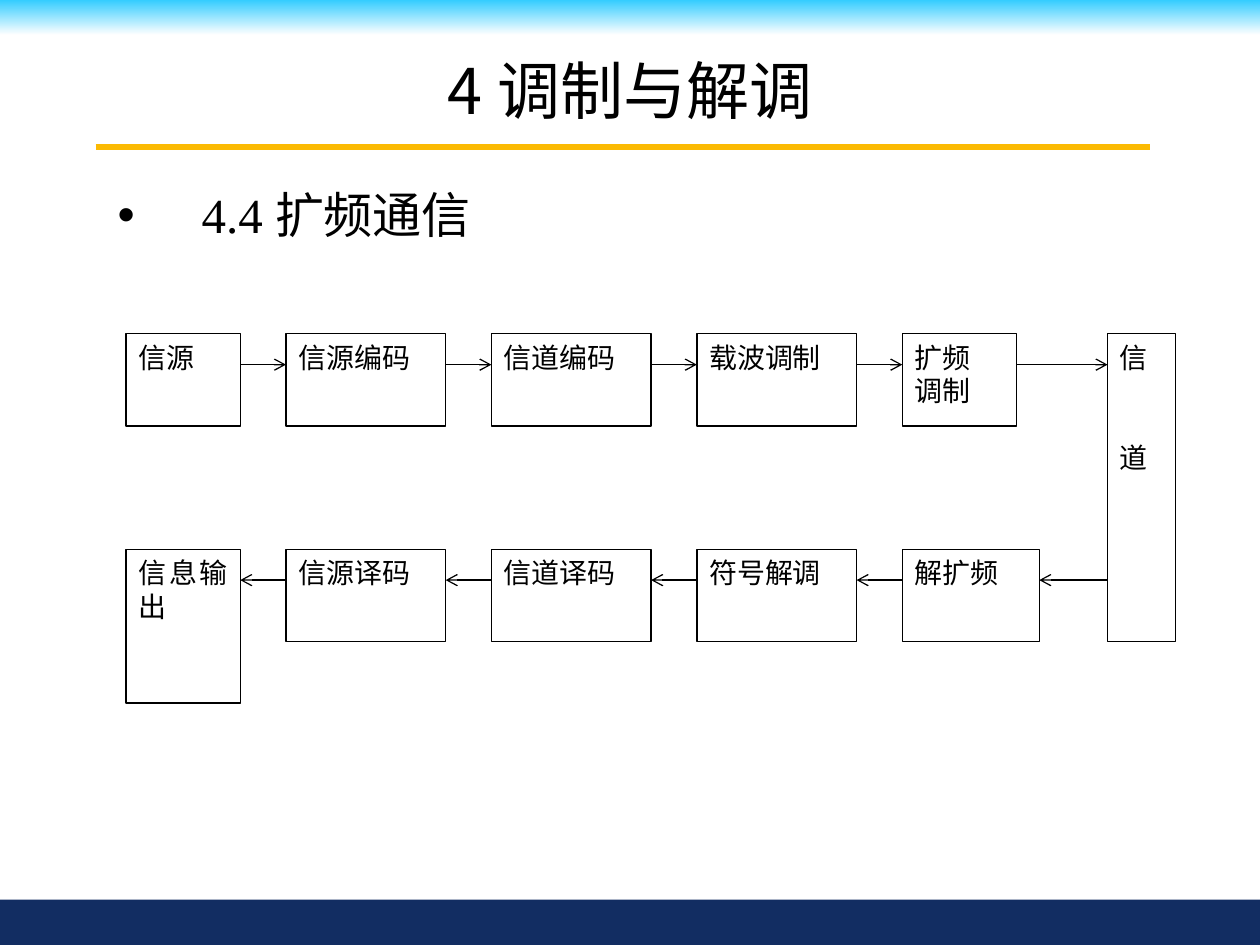
from dataclasses import dataclass

from lxml import etree
from pptx import Presentation
from pptx.dml.color import RGBColor
from pptx.enum.shapes import MSO_CONNECTOR, MSO_SHAPE
from pptx.enum.text import MSO_ANCHOR, MSO_AUTO_SIZE, PP_ALIGN
from pptx.oxml.ns import qn
from pptx.util import Pt

RECTANGLE = MSO_SHAPE.RECTANGLE
STRAIGHT = MSO_CONNECTOR.STRAIGHT
TOP, MIDDLE = MSO_ANCHOR.TOP, MSO_ANCHOR.MIDDLE
CENTER, JUSTIFY, LEFT = PP_ALIGN.CENTER, PP_ALIGN.JUSTIFY, PP_ALIGN.LEFT
NO_AUTOFIT = MSO_AUTO_SIZE.NONE


@dataclass(frozen=True)
class Theme:
    """Colours, fonts and type sizes of the deck."""
    ink: RGBColor = RGBColor(0, 0, 0)
    paper: RGBColor = RGBColor(255, 255, 255)
    sky: RGBColor = RGBColor(0x33, 0xCC, 0xFF)
    navy: RGBColor = RGBColor(0x12, 0x2D, 0x62)
    gold: RGBColor = RGBColor(0xFB, 0xBA, 0x03)
    title_font: str = "Noto Sans CJK SC"
    body_font: str = "Times New Roman"
    title_size: int = 36
    body_size: int = 28
    label_size: int = 16


THEME = Theme()
MARGIN, GAP = 72, 26.1
NARROW, MEDIUM, WIDE = 65.3, 78.3, 91.3
BOX_HEIGHT, TALL_HEIGHT = 52.6, 87.8
SEND_TOP, RECEIVE_TOP = 190.8, 313.9
ARROW_DROP = 17.6
CHANNEL_LEFT, CHANNEL_WIDTH = 632.9, 38.9
CHANNEL_GAP = 38
SENDER = [
    (["信源"], NARROW, BOX_HEIGHT),
    (["信源编码"], WIDE, BOX_HEIGHT),
    (["信道编码"], WIDE, BOX_HEIGHT),
    (["载波调制"], WIDE, BOX_HEIGHT),
    (["扩频", "调制"], NARROW, BOX_HEIGHT),
]
RECEIVER = [
    (["信息输 出"], NARROW, TALL_HEIGHT),
    (["信源译码"], WIDE, BOX_HEIGHT),
    (["信道译码"], WIDE, BOX_HEIGHT),
    (["符号解调"], WIDE, BOX_HEIGHT),
    (["解扩频"], MEDIUM, BOX_HEIGHT),
]


def style_paragraph(para, font, size, align):
    """Set the font, colour and alignment of a paragraph."""
    para.alignment = align
    para.font.name = font
    para.font.size = Pt(size)
    para.font.color.rgb = THEME.ink


def fill_placeholder(box, text, frame, font, size, align, anchor):
    """Move a placeholder, write its text and return the paragraph."""
    box.left, box.top, box.width, box.height = map(Pt, frame)
    box.text_frame.text = text
    box.text_frame.auto_size = NO_AUTOFIT
    box.text_frame.vertical_anchor = anchor
    para = box.text_frame.paragraphs[0]
    para.space_before = Pt(0)
    style_paragraph(para, font, size, align)
    return para


def add_rectangle(page, left, top, width, height):
    """Add a rectangle without shadow."""
    box = page.shapes.add_shape(RECTANGLE, Pt(left), Pt(top), Pt(width), Pt(height))
    box.shadow.inherit = False
    return box


def add_bands(page):
    """Add the fading top band and the dark bottom band."""
    header = add_rectangle(page, 0, 0, 720, 20)
    header.fill.gradient()
    header.fill.gradient_angle = 270
    for stop, position, colour in zip(header.fill.gradient_stops, (0, 1), (THEME.sky, THEME.paper)):
        stop.position = position
        stop.color.rgb = colour
    footer = add_rectangle(page, 0, 514, 720, 26)
    footer.fill.solid()
    footer.fill.fore_color.rgb = THEME.navy
    for band in (header, footer):
        band.line.fill.background()


def add_line(page, start, end, y, colour, width):
    """Add a horizontal line without shadow."""
    line = page.shapes.add_connector(STRAIGHT, Pt(start), Pt(y), Pt(end), Pt(y))
    line.line.color.rgb = colour
    line.line.width = Pt(width)
    etree.SubElement(line._element.spPr, qn("a:effectLst"))
    return line


def add_arrow(page, start, end, y):
    """Add a thin line with an open arrowhead at its end."""
    arrow = add_line(page, start, end, y, THEME.ink, 0.75)
    etree.SubElement(arrow.line._get_or_add_ln(), qn("a:tailEnd"), type="arrow")


def add_block(page, lines, left, top, width, height, spacing=0):
    """Add an outlined block with one paragraph per line of its label."""
    block = add_rectangle(page, left, top, width, height)
    block.fill.solid()
    block.fill.fore_color.rgb = THEME.paper
    block.line.color.rgb = THEME.ink
    block.line.width = Pt(0.75)
    frame = block.text_frame
    frame.word_wrap = True
    frame.vertical_anchor = TOP
    frame.text = "\n".join(lines)
    for index, para in enumerate(frame.paragraphs):
        para.space_before = Pt(spacing if index else 0)
        style_paragraph(para, THEME.body_font, THEME.label_size, JUSTIFY)


def add_chain(page, stages, top, forward):
    """Add a row of blocks, each joined by an arrow to the next or to the channel."""
    left = MARGIN
    for index, (lines, width, height) in enumerate(stages):
        add_block(page, lines, left, top, width, height)
        right = left + width
        left = CHANNEL_LEFT if index == len(stages) - 1 else right + GAP
        start, end = (right, left) if forward else (left, right)
        add_arrow(page, start, end, top + ARROW_DROP)


def main():
    """Build the slide and save it."""
    deck = Presentation()
    deck.slide_width, deck.slide_height = Pt(720), Pt(540)
    page = deck.slides.add_slide(deck.slide_layouts[1])
    add_bands(page)
    add_line(page, 54.7, 657.4, 84.1, THEME.gold, 3.75)
    fill_placeholder(page.shapes.title, "4 调制与解调", (48, 24, 624, 54),
                     THEME.title_font, THEME.title_size, CENTER, MIDDLE)
    para = fill_placeholder(page.placeholders[1], "4.4 扩频通信", (60, 102, 600, 180),
                            THEME.body_font, THEME.body_size, LEFT, TOP)
    properties = para._p.get_or_add_pPr()
    properties.set("marL", str(Pt(48)))
    properties.set("indent", str(-Pt(48)))
    add_chain(page, SENDER, SEND_TOP, True)
    add_chain(page, RECEIVER, RECEIVE_TOP, False)
    add_block(page, ["信", "道"], CHANNEL_LEFT, SEND_TOP, CHANNEL_WIDTH,
              RECEIVE_TOP + BOX_HEIGHT - SEND_TOP, CHANNEL_GAP)
    deck.save("out.pptx")


if __name__ == "__main__":
    main()
